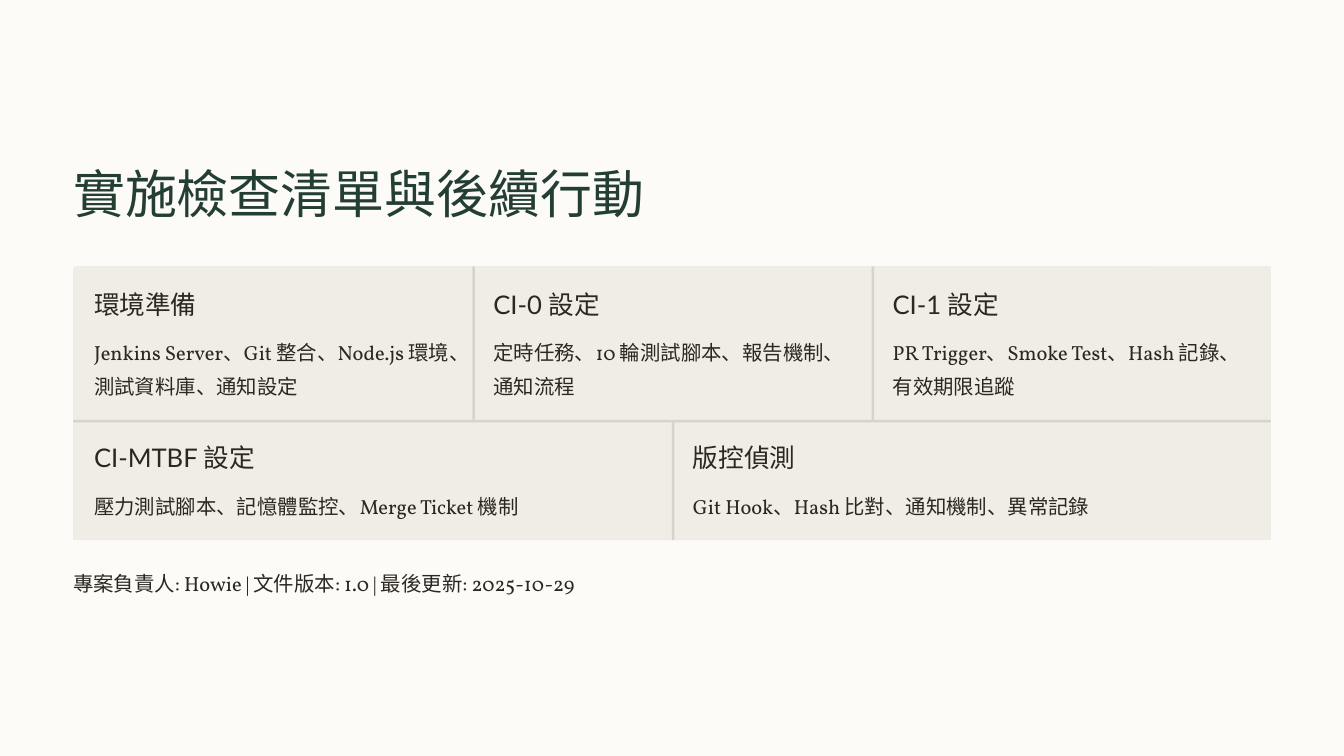
from dataclasses import dataclass

from pptx import Presentation
from pptx.dml.color import RGBColor
from pptx.enum.shapes import MSO_SHAPE as Shape
from pptx.util import Inches, Pt


@dataclass(frozen=True)
class Theme:
    paper: str = "FCFBF8"
    panel: str = "F0EDE6"
    rule: str = "D6D3CC"
    title: str = "233E32"
    ink: str = "2C2821"
    head_font: str = "Lato"
    body_font: str = "Vollkorn"
    title_size: float = 44.5
    head_size: float = 22
    body_size: float = 17.5


THEME = Theme()
RULE_WIDTH = 0.03
PAD = 0.25

# Each row: top offset, height, text height, cells
ROWS = [
    (0, 1.83, 0.79, [
        ("環境準備", "Jenkins Server、Git 整合、Node.js 環境、測試資料庫、通知設定"),
        ("CI-0 設定", "定時任務、10 輪測試腳本、報告機制、通知流程"),
        ("CI-1 設定", "PR Trigger、Smoke Test、Hash 記錄、有效期限追蹤"),
    ]),
    (1.83, 1.43, 0.4, [
        ("CI-MTBF 設定", "壓力測試腳本、記憶體監控、Merge Ticket 機制"),
        ("版控偵測", "Git Hook、Hash 比對、通知機制、異常記錄"),
    ]),
]


def add_text(slide, text, box, size=THEME.body_size, font=THEME.body_font,
             color=THEME.ink, line=28.5, wrap=False):
    frame = slide.shapes.add_textbox(*map(Inches, box)).text_frame
    frame.margin_left = frame.margin_right = 0
    frame.margin_top = frame.margin_bottom = 0
    frame.word_wrap = wrap
    para = frame.paragraphs[0]
    para.line_spacing = Pt(line)
    run = para.add_run()
    run.text = text
    run.font.size = Pt(size)
    run.font.name = font
    run.font.color.rgb = RGBColor.from_string(color)


def add_block(slide, box, color, radius=0):
    """Draw a filled block; radius is the corner size in inches."""
    kind = Shape.ROUNDED_RECTANGLE if radius else Shape.RECTANGLE
    block = slide.shapes.add_shape(kind, *map(Inches, box))
    if radius:
        block.adjustments[0] = min(radius / min(box[2:]), 0.5)
    block.shadow.inherit = False
    block.fill.solid()
    block.fill.fore_color.rgb = RGBColor.from_string(color)
    block.line.fill.background()


def add_cell(slide, box, head, body, body_height, row, col):
    left, top, width, height = box
    radius = 0.04
    add_block(slide, box, THEME.panel, 0 if row or col else radius)
    if col:
        add_block(slide, (left, top, RULE_WIDTH, height), THEME.rule, radius)
    if row:
        add_block(slide, (left, top, width, RULE_WIDTH), THEME.rule, radius)
    add_text(slide, head, (left + PAD, top + PAD, 3.1, 0.39),
             size=THEME.head_size, font=THEME.head_font, line=27.5)
    add_text(slide, body,
             (left + PAD, top + 0.78, width - 2 * PAD, body_height),
             wrap=True)


def add_grid(slide, box):
    left, top, width, _ = box
    add_block(slide, box, THEME.panel, 0.04)
    for row, (drop, height, body_height, cells) in enumerate(ROWS):
        span = width / len(cells)
        for col, (head, body) in enumerate(cells):
            add_cell(slide, (left + col * span, top + drop, span, height),
                     head, body, body_height, row, col)


def add_checklist(slide, box):
    left, top, width, _ = box
    add_text(slide, "實施檢查清單與後續行動", (left, top, 6.82, 0.78),
             size=THEME.title_size, font=THEME.head_font,
             color=THEME.title, line=55.5)
    add_grid(slide, (left, top + 1.27, width, 3.26))
    add_text(slide, "專案負責人: Howie | 文件版本: 1.0 | 最後更新: 2025-10-29",
             (left, top + 4.8, width, 0.4))


def main():
    deck = Presentation()
    deck.slide_width, deck.slide_height = Inches(16), Inches(9)
    slide = deck.slides.add_slide(deck.slide_layouts[6])
    fill = slide.background.fill
    fill.solid()
    fill.fore_color.rgb = RGBColor.from_string(THEME.paper)
    add_checklist(slide, (0.87, 1.9, 14.26, 5.2))
    deck.save("out.pptx")


if __name__ == "__main__":
    main()
